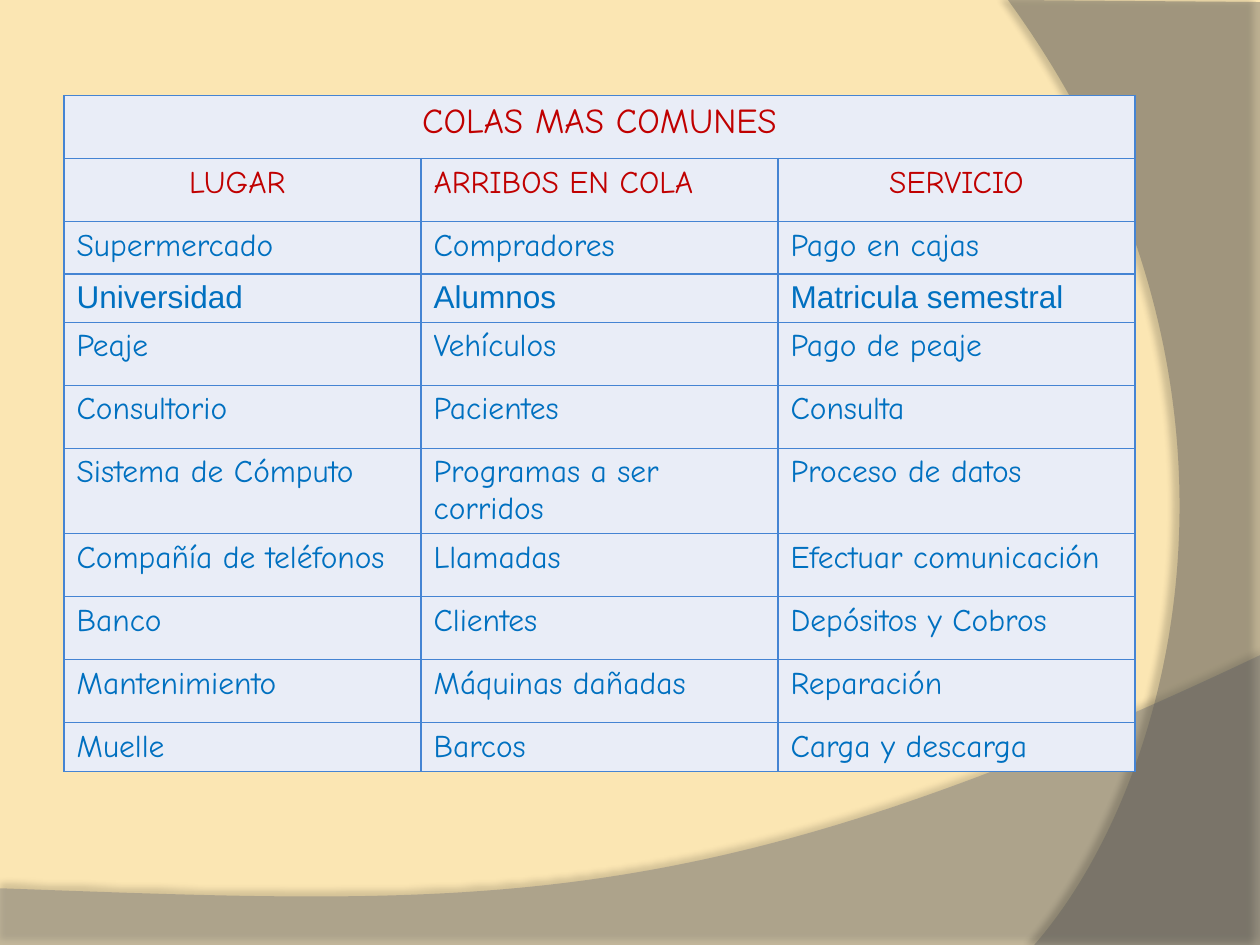
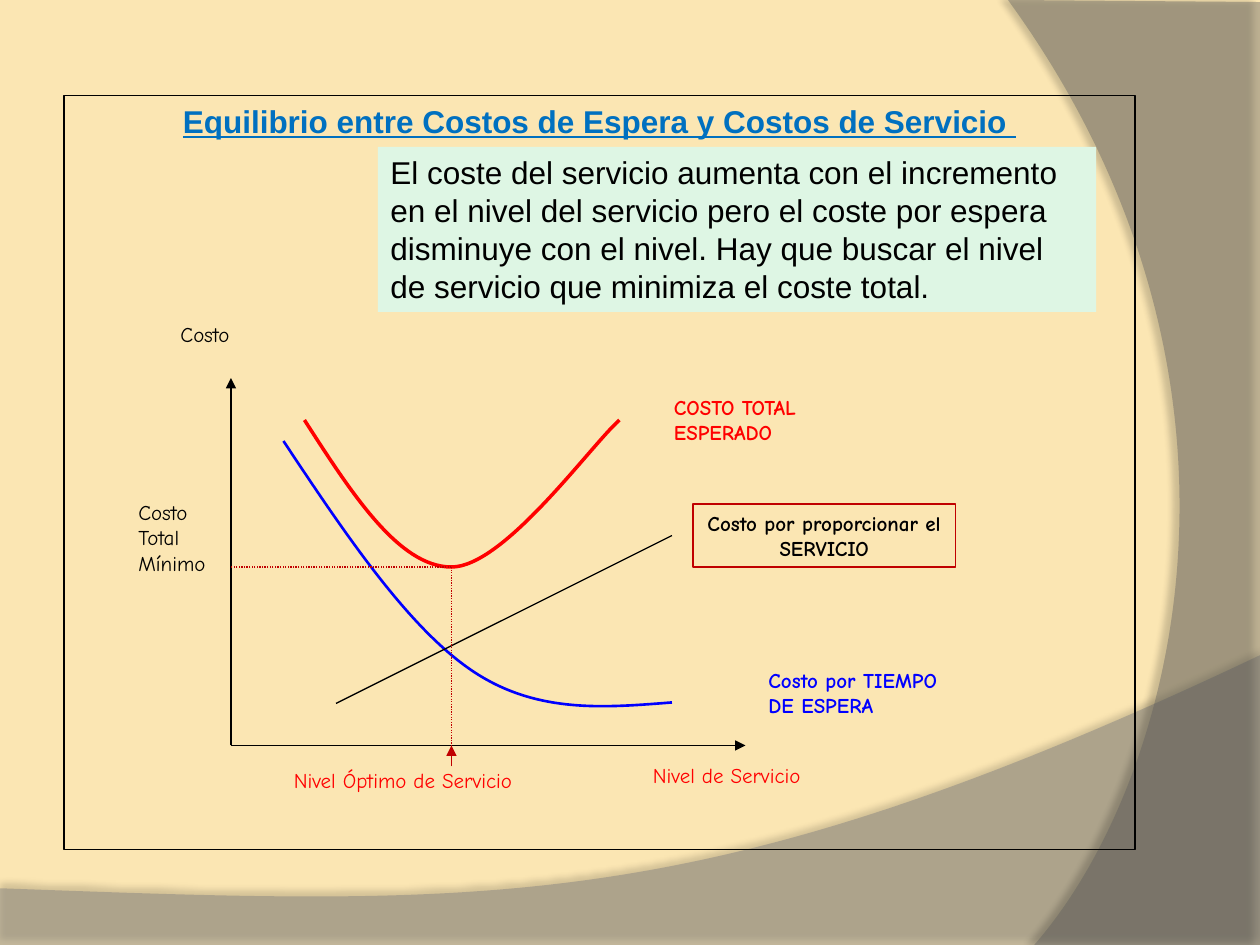
from dataclasses import dataclass

from lxml.etree import SubElement
from pptx import Presentation
from pptx.dml.color import RGBColor
from pptx.enum.dml import MSO_LINE
from pptx.enum.shapes import MSO_CONNECTOR, MSO_SHAPE
from pptx.enum.text import MSO_ANCHOR, MSO_AUTO_SIZE, PP_ALIGN
from pptx.oxml.ns import qn
from pptx.util import Emu, Inches, Pt

# Slide grid: 120 columns by 90 rows of square cells
WIDTH, HEIGHT = Inches(10), Inches(7.5)
CELL = WIDTH / 120


@dataclass(frozen=True)
class Theme:
    background: str = "FBE6B3"
    wave: str = "7F7F7F"
    arc: str = "5E5E5E"
    ink: str = "000000"
    accent: str = "C00000"
    red: str = "FF0000"
    blue: str = "0000FF"
    text_blue: str = "0070C0"
    cell_fill: str = "E9EDF7"
    cell_border: str = "4584D3"
    note_fill: str = "DEF6E4"
    sans: str = "Arial"
    hand: str = "Comic Neue"
    heading: int = 20
    body: int = 18
    label: int = 12
    thin: float = 0.75


THEME = Theme()

QUEUE_HEADERS = ("LUGAR ", "ARRIBOS EN COLA", "SERVICIO")
QUEUES = (
    ("Supermercado", "Compradores", "Pago en cajas"),
    ("Universidad", "Alumnos", "Matricula semestral"),
    ("Peaje", "Vehículos", "Pago de peaje"),
    ("Consultorio", "Pacientes", "Consulta"),
    ("Sistema de Cómputo", "Programas a ser corridos", "Proceso de datos"),
    ("Compañía de teléfonos", "Llamadas", "Efectuar comunicación"),
    ("Banco", "Clientes", "Depósitos y Cobros"),
    ("Mantenimiento", "Máquinas dañadas", "Reparación"),
    ("Muelle", "Barcos", "Carga y descarga"),
)
ROW_HEIGHTS = (6, 6, 5, 4.6, 6, 6, 6, 6, 6, 6, 4)


def grid(*cells):
    return [Emu(round(cell * CELL)) for cell in cells]


def rgb(code):
    return RGBColor.from_string(code)


def apply(target, values):
    for key, value in values.items():
        setattr(target, key, value)


def write(frame, text, color, align=PP_ALIGN.LEFT, **font):
    """Put one formatted paragraph into a text frame."""
    paragraph = frame.paragraphs[0]
    paragraph.alignment = align
    run = paragraph.add_run()
    run.text = text
    apply(run.font, font)
    run.font.color.rgb = rgb(color)


def stroke(line, color, width=THEME.thin):
    line.color.rgb = rgb(color)
    line.width = Pt(width)


def add_label(slide, text, box, color, wrap=True, bold=False):
    frame = slide.shapes.add_textbox(*grid(*box)).text_frame
    apply(frame, {"word_wrap": wrap, "auto_size": MSO_AUTO_SIZE.SHAPE_TO_FIT_TEXT})
    write(frame, text, color, name=THEME.hand, size=Pt(THEME.label), bold=bold)


def add_panel(slide, box, fill=None, border=None):
    """Add a rectangle and return its text frame."""
    panel = slide.shapes.add_shape(MSO_SHAPE.RECTANGLE, *grid(*box))
    if fill:
        panel.fill.solid()
        panel.fill.fore_color.rgb = rgb(fill)
    else:
        panel.fill.background()
    if border:
        stroke(panel.line, border)
    else:
        panel.line.fill.background()
    panel.shadow.inherit = False
    apply(panel.text_frame, {"word_wrap": True, "vertical_anchor": MSO_ANCHOR.TOP})
    return panel.text_frame


def add_rule(slide, start, end, color=THEME.ink, dotted=False, arrow=False):
    rule = slide.shapes.add_connector(MSO_CONNECTOR.STRAIGHT, *grid(*start, *end))
    stroke(rule.line, color)
    if dotted:
        rule.line.dash_style = MSO_LINE.ROUND_DOT
    properties = rule.element.spPr
    if arrow:
        SubElement(properties.find(qn("a:ln")), qn("a:tailEnd"), type="triangle")
    SubElement(properties, qn("a:effectLst"))


def add_outline(slide, start, segments, closed=False):
    """Draw segments of one point (straight) or three points (cubic curve)."""
    builder = slide.shapes.build_freeform(*grid(*start), scale=1.0)
    builder.add_line_segments(
        [grid(*point) for segment in segments for point in segment], close=closed)
    outline = builder.convert_to_shape()
    steps = iter(outline.element.findall(".//" + qn("a:lnTo")))
    for segment in segments:
        first, *others = [next(steps) for _ in segment]
        if others:
            first.tag = qn("a:cubicBezTo")
        for other in others:
            first.append(other[0])
            other.getparent().remove(other)
    outline.shadow.inherit = False
    return outline


def add_curve(slide, start, segments, color, width):
    curve = add_outline(slide, start, segments)
    curve.fill.background()
    stroke(curve.line, color, width)


def add_band(slide, start, segments, color, opacity, shadow):
    """Add a translucent band with a soft shadow."""
    band = add_outline(slide, start, segments, closed=True)
    band.fill.solid()
    band.fill.fore_color.rgb = rgb(color)
    band.line.fill.background()
    properties = band.element.spPr
    tint = properties.find(qn("a:solidFill"))[0]
    SubElement(tint, qn("a:alpha"), val=str(opacity * 1000))
    shadow_opacity, distance, angle = shadow
    cast = SubElement(properties.find(qn("a:effectLst")), qn("a:outerShdw"),
                      blurRad=str(Pt(4)), dist=str(Pt(distance)),
                      dir=str(angle * 60000), algn="ctr", rotWithShape="0")
    shade = SubElement(cast, qn("a:srgbClr"), val=THEME.ink)
    SubElement(shade, qn("a:alpha"), val=str(shadow_opacity * 1000))
    return band


def move_backdrop_to_layout(slide):
    """Draw the shared bands and keep them on the layout."""
    layout = slide.slide_layout
    layout.background.fill.solid()
    layout.background.fill.fore_color.rgb = rgb(THEME.background)
    wave = add_band(
        slide, (0, 84.6),
        [[(0, 90.1)], [(120, 90.1)], [(120, 62.4)],
         [(67.08, 87.5), (46.9, 86.3), (0, 84.6)]],
        THEME.wave, 45, (35, 3.5, 270))
    arc = add_band(
        slide, (120, 0.2),
        [[(120, 90)], [(98.5, 90)], [(112.2, 74.3), (122.2, 36), (96, 0)]],
        THEME.arc, 40, (45, 4, 180))
    for band in (wave, arc):
        layout.shapes.element.append(band.element)


def format_cell(cell):
    properties = cell._tc.get_or_add_tcPr()
    for side in ("lnL", "lnR", "lnT", "lnB"):
        border = SubElement(properties, qn(f"a:{side}"), w=str(Pt(1)))
        paint = SubElement(border, qn("a:solidFill"))
        SubElement(paint, qn("a:srgbClr"), val=THEME.cell_border)
    cell.fill.solid()
    cell.fill.fore_color.rgb = rgb(THEME.cell_fill)


def build_queue_table(slide):
    box = grid(6.1, 9.1, 102, sum(ROW_HEIGHTS))
    table = slide.shapes.add_table(len(ROW_HEIGHTS), 3, *box).table
    apply(table, {"first_row": False, "horz_banding": False})
    for column in table.columns:
        column.width = grid(34)[0]
    for row, height in zip(table.rows, ROW_HEIGHTS):
        row.height = grid(height)[0]
        for cell in row.cells:
            format_cell(cell)

    # Title and column headings
    title = table.cell(0, 0)
    title.merge(table.cell(0, 2))
    write(title.text_frame, "COLAS MAS COMUNES", THEME.accent, PP_ALIGN.CENTER,
          name=THEME.hand, size=Pt(THEME.heading))
    aligns = (PP_ALIGN.CENTER, PP_ALIGN.LEFT, PP_ALIGN.CENTER)
    for column, (header, align) in enumerate(zip(QUEUE_HEADERS, aligns)):
        write(table.cell(1, column).text_frame, header, THEME.accent, align,
              name=THEME.hand, size=Pt(THEME.body))

    # Queue examples
    for row, queue in enumerate(QUEUES, start=2):
        font = THEME.sans if queue[0] == "Universidad" else THEME.hand
        for column, text in enumerate(queue):
            write(table.cell(row, column).text_frame, text, THEME.text_blue,
                  name=font, size=Pt(THEME.body))


def build_cost_balance(slide):
    # Framed title
    title = add_panel(slide, (6.1, 9.1, 102, 71.8), border=THEME.ink)
    write(title, "Equilibrio entre Costos de Espera y Costos de Servicio ",
          THEME.text_blue, PP_ALIGN.CENTER, name=THEME.sans,
          size=Pt(THEME.body), bold=True, underline=True)

    # Cost curves
    add_curve(slide, (29, 40),
              [[(33.5, 47), (38, 54), (43, 54)], [(48, 54), (56.2, 42.5), (59, 40)]],
              THEME.red, 2)
    add_curve(slide, (27, 42),
              [[(32.9, 50.9), (38.9, 59.8), (45, 63.9)],
               [(51.1, 68), (57.6, 67.4), (64, 66.9)]],
              THEME.blue, 1.5)
    add_rule(slide, (32, 67), (64, 51))

    # Axes, and guides to the optimum
    origin, optimum, level = (22, 71), (43, 54), (43, 71)
    for axis_end in ((22, 36), (71, 71)):
        add_rule(slide, origin, axis_end, arrow=True)
    for guide_end in (level, (22, 54)):
        add_rule(slide, optimum, guide_end, THEME.accent, dotted=True)
    add_rule(slide, (43, 73), level, THEME.accent, arrow=True)

    # Labels
    add_label(slide, "Costo por TIEMPO DE ESPERA", (72, 63, 21, 6), THEME.blue, bold=True)
    add_label(slide, "COSTO TOTAL ESPERADO", (63, 37, 20, 6), THEME.red, bold=True)
    add_label(slide, "Costo Total Mínimo", (12, 47, 9, 8.5), THEME.ink)
    add_label(slide, "Costo", (16, 30, 8, 3.6), THEME.ink)
    add_label(slide, "Nivel de Servicio", (61, 72, 20, 3.6), THEME.red)
    add_label(slide, "Nivel Óptimo de Servicio", (26.8, 72.5, 25.7, 3.6),
              THEME.red, wrap=False)
    service = add_panel(slide, (66, 48, 25, 6), border=THEME.accent)
    write(service, "Costo por proporcionar el SERVICIO", THEME.ink, PP_ALIGN.CENTER,
          name=THEME.hand, size=Pt(THEME.label), bold=True)

    # Explanation
    note = add_panel(slide, (36, 14, 68.4, 15.7), fill=THEME.note_fill)
    write(note, "El coste del servicio aumenta con el incremento en el nivel del "
          "servicio pero el coste por espera disminuye con el nivel. Hay que buscar "
          "el nivel de servicio que minimiza el coste total.",
          THEME.ink, name=THEME.sans, size=Pt(THEME.body))


def main():
    deck = Presentation()
    apply(deck, {"slide_width": WIDTH, "slide_height": HEIGHT})
    blank = deck.slide_layouts[6]
    queues, costs = [deck.slides.add_slide(blank) for _ in range(2)]
    move_backdrop_to_layout(queues)
    build_queue_table(queues)
    build_cost_balance(costs)
    deck.save("out.pptx")


if __name__ == "__main__":
    main()
